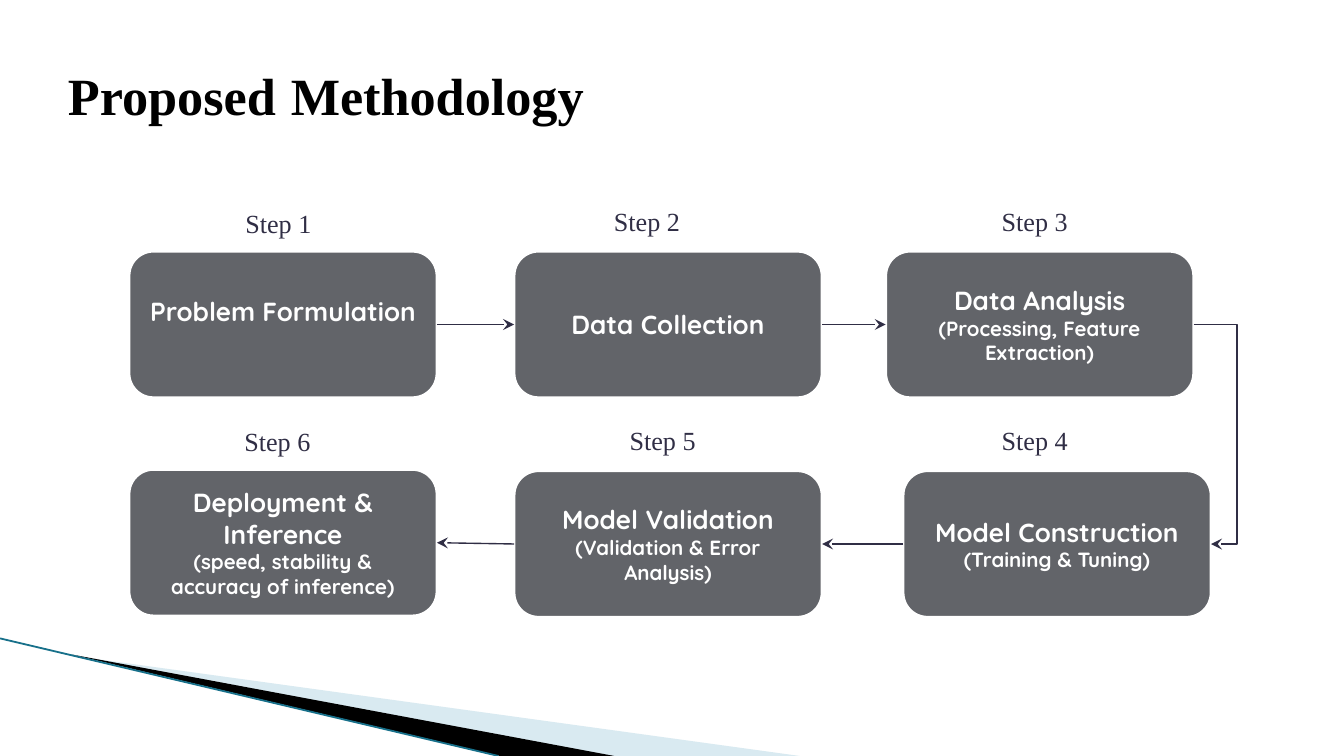
from lxml import etree
from pptx import Presentation
from pptx.dml.color import RGBColor
from pptx.enum.shapes import MSO_CONNECTOR, MSO_SHAPE
from pptx.enum.text import MSO_ANCHOR, MSO_AUTO_SIZE, PP_ALIGN
from pptx.oxml.ns import qn
from pptx.util import Pt

STRAIGHT, ELBOW = MSO_CONNECTOR.STRAIGHT, MSO_CONNECTOR.ELBOW
ROUNDED = MSO_SHAPE.ROUNDED_RECTANGLE
MIDDLE, TOP = MSO_ANCHOR.MIDDLE, MSO_ANCHOR.TOP
LEFT, CENTER = PP_ALIGN.LEFT, PP_ALIGN.CENTER
FIT_NONE, FIT_SHAPE = MSO_AUTO_SIZE.NONE, MSO_AUTO_SIZE.SHAPE_TO_FIT_TEXT

WHITE = RGBColor(0xFF, 0xFF, 0xFF)
BLACK = RGBColor(0, 0, 0)
GRAY = RGBColor(0x62, 0x64, 0x69)
INK = RGBColor(0x30, 0x2E, 0x45)
SKY = RGBColor(0xA0, 0xCB, 0xDC)
TEAL = RGBColor(0x17, 0x70, 0x8A)

BOX_W, BOX_H = 165, 78.5
ROW_1, ROW_2 = 134.6, 252.2


def write(p, text, font="Quicksand", size=14, color=WHITE, bold=False, align=LEFT):
    p.alignment = align
    r = p.add_run()
    r.text = text
    r.font.name = font
    r.font.size = Pt(size)
    r.font.color.rgb = color
    r.font.bold = bold


class Deck:
    serif = "Times New Roman"

    def __init__(self, width, height):
        self.prs = Presentation()
        self.prs.slide_width, self.prs.slide_height = Pt(width), Pt(height)
        self.s = self.prs.slides.add_slide(self.prs.slide_layouts[5])

    def frame(self, sp, anchor=MIDDLE, fit=FIT_NONE, bottom=3.6):
        tf = sp.text_frame
        tf.word_wrap = True
        tf.auto_size = fit
        tf.vertical_anchor = anchor
        tf.margin_left = tf.margin_right = Pt(5.4)
        tf.margin_top, tf.margin_bottom = Pt(3.6), Pt(bottom)
        return tf

    def title(self, parts, x, y, w, h):
        sp = self.s.shapes.title
        sp.left, sp.top, sp.width, sp.height = Pt(x), Pt(y), Pt(w), Pt(h)
        p = self.frame(sp).paragraphs[0]
        p.line_spacing = 0.9
        for text, size in parts:
            write(p, text, font=self.serif, size=size, color=BLACK, bold=True)

    def wedge(self, points, color, alpha=100):
        points = [(Pt(x), Pt(y)) for x, y in points]
        fb = self.s.shapes.build_freeform(*points[0])
        fb.add_line_segments(points[1:], close=True)
        sp = fb.convert_to_shape()
        sp.shadow.inherit = False
        sp.fill.solid()
        sp.fill.fore_color.rgb = color
        sp.line.fill.background()
        clr = sp.fill._xPr.find(qn("a:solidFill"))[0]
        etree.SubElement(clr, qn("a:alpha"), val=str(alpha * 1000))

    def box(self, heading, detail, x, y, bottom=3.6):
        sp = self.s.shapes.add_shape(ROUNDED, Pt(x), Pt(y), Pt(BOX_W), Pt(BOX_H))
        sp.shadow.inherit = False
        sp.fill.solid()
        sp.fill.fore_color.rgb = GRAY
        sp.line.color.rgb = WHITE
        sp.line.width = Pt(1.5)
        tf = self.frame(sp, bottom=bottom)
        write(tf.paragraphs[0], heading, bold=True, align=CENTER)
        if detail:
            write(tf.add_paragraph(), detail, size=11, bold=True, align=CENTER)

    def label(self, text, x, y):
        sp = self.s.shapes.add_textbox(Pt(x), Pt(y), Pt(52), Pt(22.3))
        tf = self.frame(sp, anchor=TOP, fit=FIT_SHAPE)
        write(tf.paragraphs[0], text, font=self.serif, color=INK)

    def line(self, x1, y1, x2, y2, color=INK, width=0.75, arrow=True, bend=None):
        kind = ELBOW if bend else STRAIGHT
        sp = self.s.shapes.add_connector(kind, Pt(x1), Pt(y1), Pt(x2), Pt(y2))
        sp.line.color.rgb = color
        sp.line.width = Pt(width)
        pr = sp._element.spPr
        etree.SubElement(pr, qn("a:effectLst"))
        if arrow:
            etree.SubElement(pr.find(qn("a:ln")), qn("a:tailEnd"), type="stealth")
        if bend:
            guides = pr.find(qn("a:prstGeom")).find(qn("a:avLst"))
            etree.SubElement(guides, qn("a:gd"), name="adj1", fmla=f"val {int(bend * 100000)}")


def main():
    deck = Deck(720, 405)
    deck.wedge([(39.6, 351.4), (428.4, 405), (328.3, 405)], SKY, alpha=40)
    deck.wedge([(38.2, 350.6), (329, 405), (267.8, 405)], BLACK)
    deck.line(0, 342, 267, 405, color=TEAL, width=0.95, arrow=False)
    deck.title([("Proposed", 28), (" ", 32), ("Methodology", 28)], 31, 21.6, 647.3, 59.8)

    steps = [
        ("Problem Formulation", "", 69.1, ROW_1, 126, 107.3, 17.4),
        ("Data Collection", "", 275.4, ROW_1, 323.5, 106.6, 3.6),
        ("Data Analysis", "(Processing, Feature Extraction)", 474.5, ROW_1, 531.2, 106.6, 3.6),
        ("Model Construction", "(Training & Tuning)", 483.8, ROW_2, 531.2, 223.7, 3.6),
        ("Model Validation", "(Validation & Error Analysis)", 275.4, ROW_2, 331.9, 223.7, 3.6),
        ("Deployment & Inference", "(speed, stability & accuracy of inference)",
         69.1, ROW_2 - 0.7, 125.5, 224.6, 3.6),
    ]
    for n, (heading, detail, x, y, label_x, label_y, bottom) in enumerate(steps, 1):
        deck.box(heading, detail, x, y, bottom)
        deck.label(f"Step {n}", label_x, label_y)

    for (_, _, x1, y1, *_), (_, _, x2, y2, *_) in zip(steps, steps[1:]):
        mid_1, mid_2 = y1 + BOX_H / 2, y2 + BOX_H / 2
        if y2 - y1 > BOX_H:
            deck.line(x1 + BOX_W, mid_1, x2 + BOX_W, mid_2, bend=2.5)
        elif x2 > x1:
            deck.line(x1 + BOX_W, mid_1, x2, mid_2)
        else:
            deck.line(x1, mid_1, x2 + BOX_W, mid_2)
    deck.prs.save("out.pptx")


if __name__ == "__main__":
    main()
